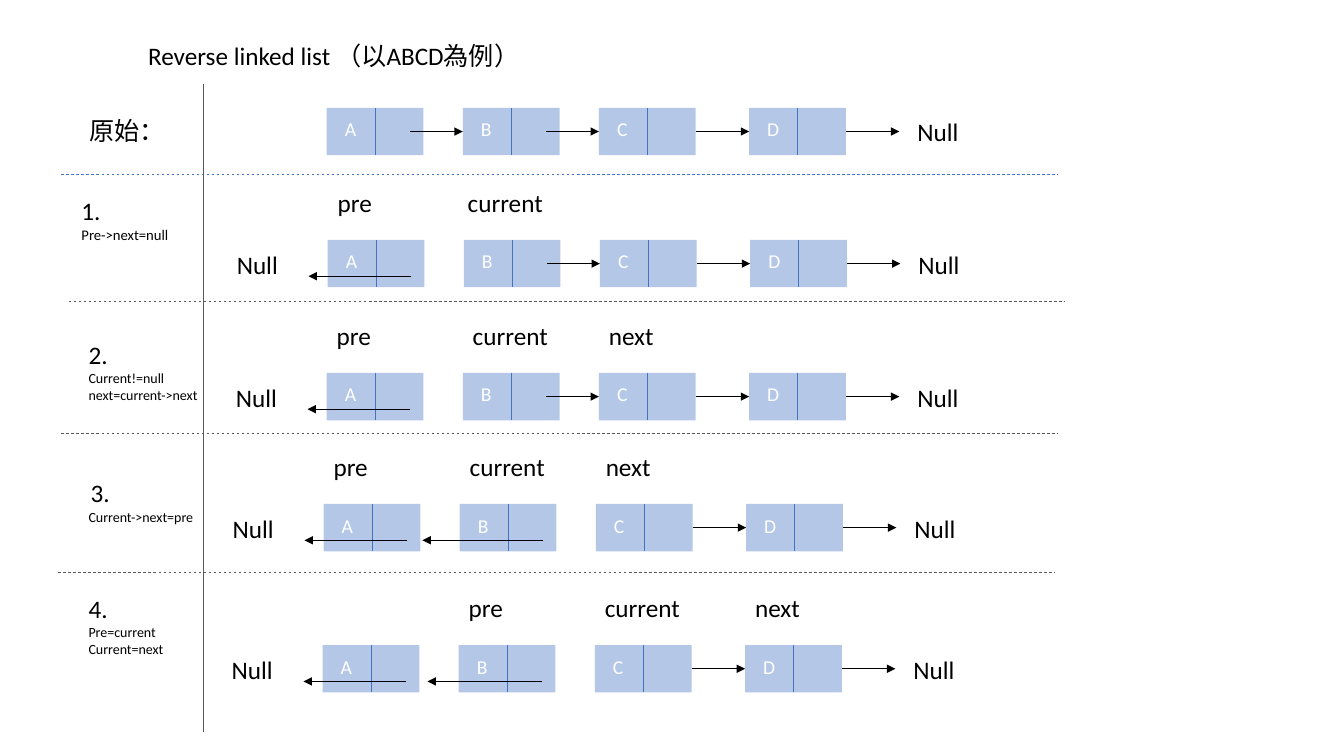
from dataclasses import dataclass, field

import pptx
import pptx.dml.color
import pptx.enum.dml
import pptx.enum.shapes
import pptx.enum.text
import pptx.util
from lxml import etree
from pptx.oxml.ns import qn
from pptx.util import Inches

COLORS = {"text": "000000", "node": "B4C7E7", "letter": "FFFFFF",
          "blue": "4472C4", "grey": "595959", "arrow": "000000"}
FONT = "Calibri"
NODE_W, NODE_H = 0.96, 0.47
# Left edge of each node, measured from the left edge of A
NODES = {"A": 0.0, "B": 1.35, "C": 2.7, "D": 4.19}
POINTER_FIELD = 0.83
TEXT_H = 0.4
WORD_W = {"pre": 0.55, "current": 0.96, "next": 0.65, "Null": 0.61}


@dataclass
class Caption:
    x: float
    y: float
    w: float
    h: float
    lines: list[str]
    sizes: list[float]
    wrap: bool = False


@dataclass
class ListState:
    """One row: the list at (x, y) and where its pointers and reversed links go."""
    x: float
    y: float
    pointers: dict[str, float] = field(default_factory=dict)
    reversed_links: dict[str, float] = field(default_factory=dict)


@dataclass
class Divider:
    x: float
    y: float
    color: str = "grey"


A, B, C, D = NODES.values()
STATES = [
    ListState(3.24, 1.07),
    ListState(3.25, 2.38, {"pre": A, "current": B - 0.06}, {"A": -0.19}),
    ListState(3.24, 3.7, {"pre": A, "current": B, "next": C}, {"A": -0.19}),
    ListState(3.21, 5.0, {"pre": A, "current": B, "next": C}, {"A": -0.19, "B": 0.98}),
    ListState(3.2, 6.4, {"pre": B, "current": C, "next": D}, {"A": -0.19, "B": 1.04}),
]
DIVIDERS = [Divider(0.61, 1.73, "blue"), Divider(0.68, 2.99),
            Divider(0.61, 4.3), Divider(0.58, 5.68)]
DIVIDER_W = 9.88
CAPTIONS = [
    Caption(1.37, 0.35, 3.92, 0.4, ["Reverse linked list （以ABCD為例）"], [18], True),
    Caption(0.79, 1.09, 0.96, 0.4, ["原始："], [18]),
    Caption(0.71, 1.89, 1.12, 0.59, ["1.", "Pre->next=null"], [18, 10.5]),
    Caption(0.78, 3.32, 1.36, 0.74,
            ["2.", "Current!=null", "next=current->next"], [18, 10, 10], True),
    Caption(0.8, 4.69, 0.39, 0.4, ["3."], [18]),
    Caption(0.78, 5.0, 1.27, 0.27, ["Current->next=pre"], [10]),
    Caption(0.78, 5.84, 1.36, 0.74,
            ["4.", "Pre=current", "Current=next"], [18, 10, 10], True),
]


def rgb(name: str) -> pptx.dml.color.RGBColor:
    return pptx.dml.color.RGBColor.from_string(COLORS[name])


def style_paragraph(paragraph, size: float, color: str) -> None:
    for run in paragraph.runs:
        run.font.name = FONT
        run.font.size = pptx.util.Pt(size)
        run.font.color.rgb = rgb(color)


def add_caption(shapes, caption: Caption) -> None:
    box = shapes.add_textbox(Inches(caption.x), Inches(caption.y),
                             Inches(caption.w), Inches(caption.h))
    frame = box.text_frame
    frame.text = "\n".join(caption.lines)
    frame.word_wrap = caption.wrap
    frame.auto_size = pptx.enum.text.MSO_AUTO_SIZE.SHAPE_TO_FIT_TEXT
    for paragraph, size in zip(frame.paragraphs, caption.sizes):
        style_paragraph(paragraph, size, "text")


def add_word(shapes, word: str, x: float, y: float) -> None:
    add_caption(shapes, Caption(x, y, WORD_W[word], TEXT_H, [word], [18]))


def add_line(shapes, x1: float, y1: float, x2: float, y2: float, color: str,
             dashed: bool = False, arrow: bool = False):
    line = shapes.add_connector(pptx.enum.shapes.MSO_CONNECTOR.STRAIGHT,
                                Inches(x1), Inches(y1), Inches(x2), Inches(y2))
    line.line.color.rgb = rgb(color)
    line.line.width = pptx.util.Pt(0.5)
    if dashed:
        line.line.dash_style = pptx.enum.dml.MSO_LINE.DASH
    if arrow:
        etree.SubElement(line.line._get_or_add_ln(), qn("a:tailEnd"), type="triangle")
    etree.SubElement(line._element.spPr, qn("a:effectLst"))
    return line


def add_node(shapes, letter: str, x: float, y: float):
    """Draw a two-field node as a group and return its rectangle."""
    group = shapes.add_group_shape()
    node = group.shapes.add_shape(pptx.enum.shapes.MSO_SHAPE.RECTANGLE, Inches(x),
                                  Inches(y), Inches(NODE_W), Inches(NODE_H))
    node.shadow.inherit = False
    node.fill.solid()
    node.fill.fore_color.rgb = rgb("node")
    node.line.fill.background()
    frame = node.text_frame
    frame.text = letter
    frame.margin_left = Inches(0.18)
    frame.margin_top = frame.margin_right = 0
    frame.margin_bottom = Inches(0.05)
    frame.vertical_anchor = pptx.enum.text.MSO_ANCHOR.MIDDLE
    frame.paragraphs[0].alignment = pptx.enum.text.PP_ALIGN.LEFT
    style_paragraph(frame.paragraphs[0], 14, "letter")
    middle = x + NODE_W / 2
    field_border = add_line(group.shapes, middle, y, middle, y + NODE_H, "blue")
    field_border.begin_connect(node, 0)
    field_border.end_connect(node, 2)
    return node


def add_state(shapes, state: ListState) -> None:
    x, y = state.x, state.y
    nodes = {letter: add_node(shapes, letter, x + offset, y)
             for letter, offset in NODES.items()}
    targets = [*NODES][1:] + [None]
    for letter, target in zip(NODES, targets):
        start = x + NODES[letter] + POINTER_FIELD
        if letter in state.reversed_links:
            link_y = y + 0.36
            add_line(shapes, start, link_y, x + state.reversed_links[letter], link_y,
                     "arrow", arrow=True)
        elif not (letter == "B" and "B" in state.reversed_links):
            link_y = y + NODE_H / 2
            end = x + (NODES[target] if target else 5.68)
            link = add_line(shapes, start, link_y, end, link_y, "arrow", arrow=True)
            if letter in "CD":
                link.begin_connect(nodes[letter], 3)
            if target:
                link.end_connect(nodes[target], 1)
    add_word(shapes, "Null", x + 5.76, y + 0.04)
    if state.reversed_links:
        add_word(shapes, "Null", x - 1, y + 0.04)
    for word, offset in state.pointers.items():
        add_word(shapes, word, x + offset, y - 0.57)


def main() -> None:
    deck = pptx.Presentation()
    deck.slide_width, deck.slide_height = Inches(13.33), Inches(7.5)
    shapes = deck.slides.add_slide(deck.slide_layouts[6]).shapes
    for caption in CAPTIONS:
        add_caption(shapes, caption)
    for state in STATES:
        add_state(shapes, state)
    for divider in DIVIDERS:
        add_line(shapes, divider.x, divider.y, divider.x + DIVIDER_W, divider.y,
                 divider.color, dashed=True)
    add_line(shapes, 2.02, 0.83, 2.02, 7.26, "grey")
    deck.save("out.pptx")


if __name__ == "__main__":
    main()
